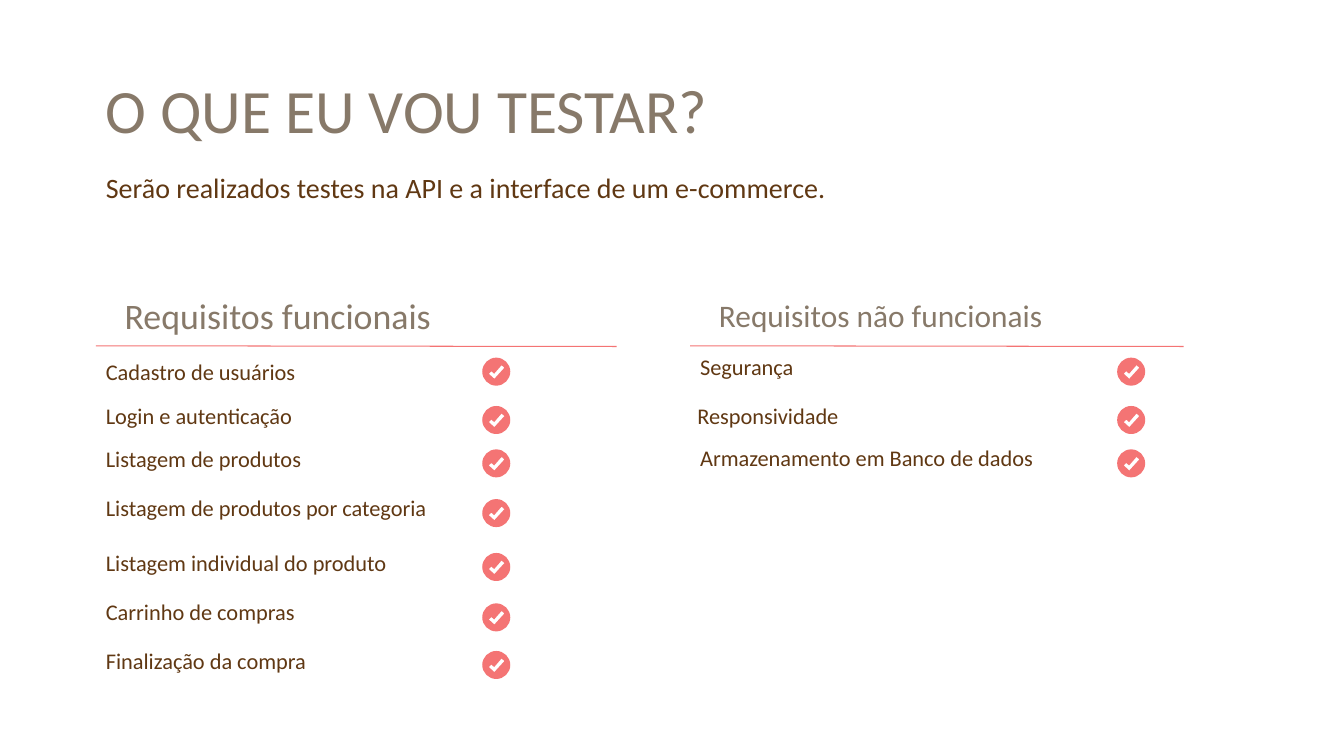
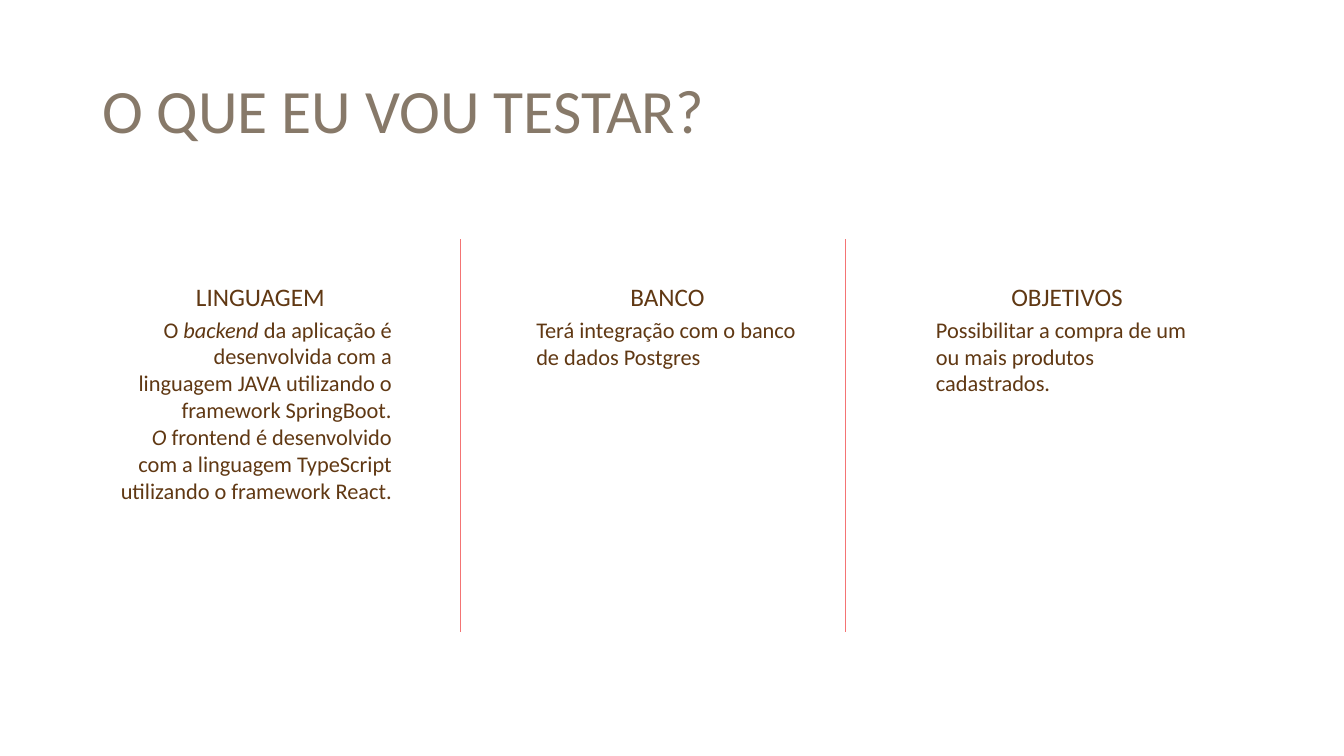
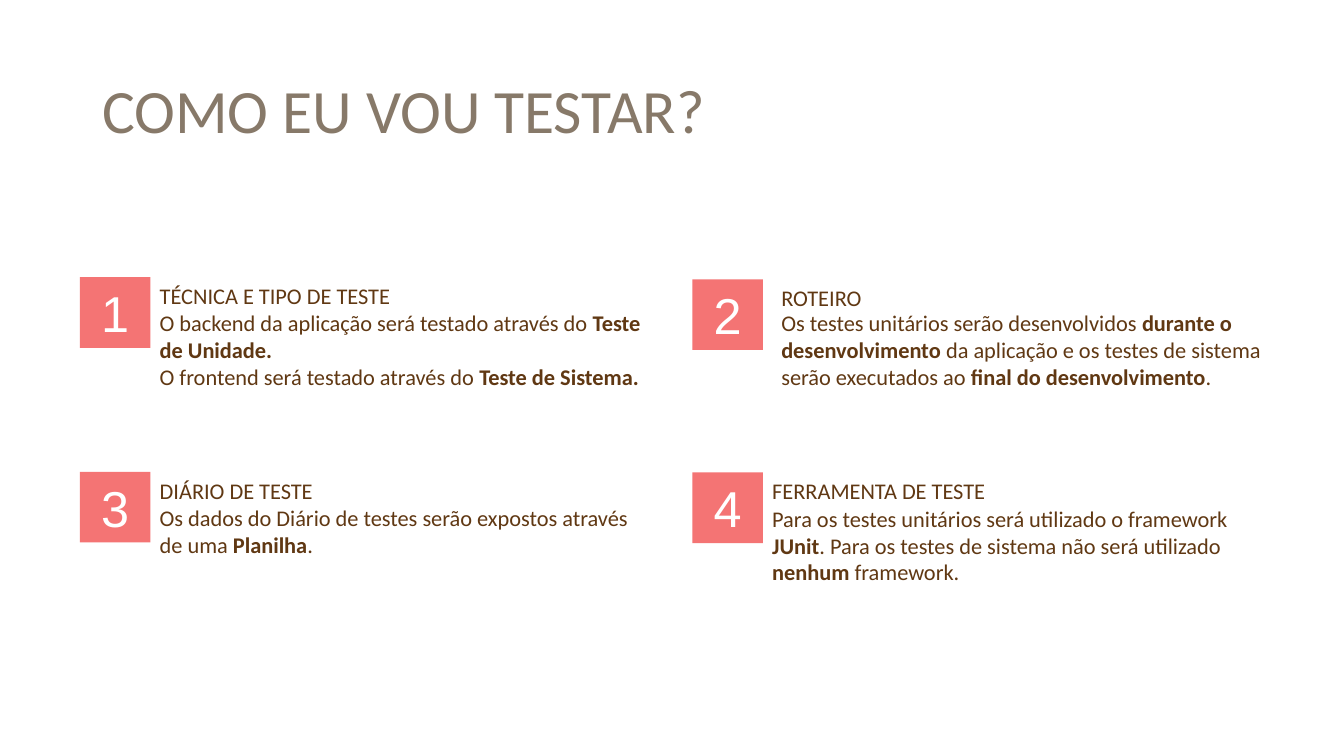
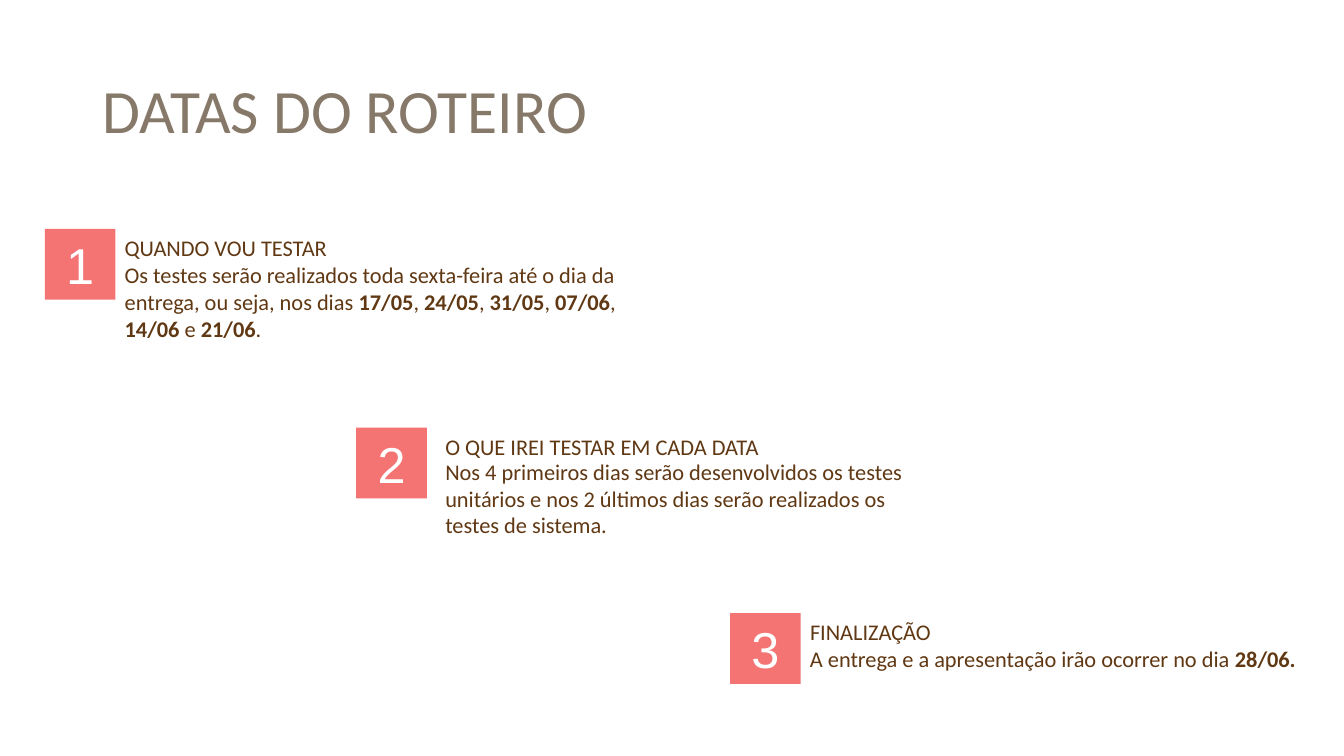
import pptx
import pptx.dml.color
import pptx.enum.shapes
import pptx.enum.text
import pptx.oxml
import pptx.util

PX = 6350  # EMU in one px, on a slide of 1920 by 1080 px
TAUPE, BROWN, CORAL, WHITE = "877969", "603813", "F47474", "FFFFFF"
FONT, NUMBER_FONT = "Calibri", "Arial"
LINE_HEIGHT, PADDING = 39, 14
BADGE_SIZE = 101
TIGHT, LOOSE = (-1, 39), (12, 36)  # gap from badge to text, drop from heading to body

# Disc and tick, in tenths of a px
RADIUS = 200
DISC = [(200, 0), (400, 200), (200, 400), (0, 200), (200, 0)]
TICK = [(173, 302), (94, 230), (130, 194), (170, 230), (276, 108), (317, 144)]
ROUNDNESS = 0.55  # share of the way from an end of a quarter circle to its corner

ALIGN = pptx.enum.text.PP_ALIGN
ANCHOR = pptx.enum.text.MSO_ANCHOR

FUNCTIONAL = [  # text, shift to the right, top of text, top of check
    ("Cadastro de usuários", 0, 505, 511),
    ("Login e autenticação", 0, 567, 580),
    ("Listagem de produtos", 0, 629, 642),
    ("Listagem de produtos por categoria", 0, 699, 713),
    ("Listagem individual do produto", 0, 778, 790),
    ("Carrinho de compras", 0, 848, 862),
    ("Finalização da compra", 0, 917, 930),
]
NON_FUNCTIONAL = [
    ("Segurança", 0, 498, 511),
    ("Responsividade", -4, 567, 580),
    ("Armazenamento em Banco de dados", 0, 628, 642),
]
COLUMNS = [  # heading, left and width of heading, left of body, lines, alignment, body
    ("LINGUAGEM", 158, 428, 158, 7, ALIGN.RIGHT, [
        "O *backend *da aplicação é desenvolvida com a linguagem JAVA "
        "utilizando o framework SpringBoot.",
        "*O *frontend é desenvolvido com a linguagem TypeScript "
        "utilizando o framework React."]),
    ("BANCO", 738, 431, 752, 2, ALIGN.LEFT,
     ["Terá integração com o banco de dados Postgres"]),
    ("OBJETIVOS", 1309, 431, 1323, 3, ALIGN.LEFT,
     ["Possibilitar a compra de um ou mais produtos cadastrados."]),
]
METHODS = [  # left, top, offsets of text, heading, its width, lines, body
    (114, 396, TIGHT, "TÉCNICA E TIPO DE TESTE", 495, 3, [
        "O backend da aplicação será testado através do *Teste de Unidade.*",
        "O frontend será testado através do *Teste de Sistema.*"]),
    (989, 399, LOOSE, "ROTEIRO", 230, 3, [
        "Os testes unitários serão desenvolvidos *durante o desenvolvimento* da "
        "aplicação e os testes de sistema serão executados ao "
        "*final do desenvolvimento*."]),
    (114, 674, TIGHT, "DIÁRIO DE TESTE", 379, 2, [
        "Os dados do Diário de testes serão expostos através de uma *Planilha*."]),
    (989, 675, TIGHT, "FERRAMENTA DE TESTE", 395, 3, [
        "Para os testes unitários será utilizado o framework *JUnit*. Para os "
        "testes de sistema não será utilizado *nenhum *framework."]),
]
DATES = [
    (64, 327, TIGHT, "QUANDO VOU TESTAR", 495, 4, [
        "Os testes serão realizados toda sexta-feira até o dia da entrega, ou seja, "
        "nos dias *17/05*, *24/05*, *31/05*, *07/06*, *14/06* e *21/06*."]),
    (509, 611, LOOSE, "O QUE IREI TESTAR EM CADA DATA", 562, 3, [
        "Nos 4 primeiros dias serão desenvolvidos os testes unitários e nos 2 "
        "últimos dias serão realizados os testes de sistema."]),
    (1043, 876, TIGHT, "FINALIZAÇÃO", 379, 1, [
        "A entrega e a apresentação irão ocorrer no dia *28/06.*"]),
]


def px(*lengths):
    return [pptx.util.Emu(length * PX) for length in lengths]


def rgb(color):
    return pptx.dml.color.RGBColor.from_string(color)


def style(font, size, color, name=FONT):
    font.size = pptx.util.Pt(size)
    font.name = name
    font.color.rgb = rgb(color)


def add_text(slide, box, paragraphs, size=16, color=BROWN, align=ALIGN.LEFT,
             anchor=ANCHOR.TOP, spacing=None, emphasis="bold"):
    """Add a text box; stretches between asterisks get the emphasis."""
    text_frame = slide.shapes.add_textbox(*px(*box)).text_frame
    text_frame.word_wrap = True
    text_frame.vertical_anchor = anchor
    for index, text in enumerate(paragraphs):
        paragraph = text_frame.add_paragraph() if index else text_frame.paragraphs[0]
        paragraph.alignment = align
        if spacing:
            paragraph.line_spacing = spacing
        for position, part in enumerate(text.split("*")):
            if part:
                run = paragraph.add_run()
                run.text = part
                style(run.font, size, color)
                if position % 2:
                    setattr(run.font, emphasis, True)


def add_heading(slide, box, text, size):
    add_text(slide, box, [text], size, TAUPE, anchor=ANCHOR.MIDDLE, spacing=0.9)


def add_line(slide, *ends):
    line = slide.shapes.add_connector(
        pptx.enum.shapes.MSO_CONNECTOR.STRAIGHT, *px(*ends))
    line.line.color.rgb = rgb(CORAL)
    line.line.width = pptx.util.Pt(0.75)
    properties = line._element.spPr
    properties.append(properties.makeelement(pptx.oxml.ns.qn("a:effectLst"), {}))


def paint(shape):
    shape.shadow.inherit = False
    shape.fill.solid()
    shape.fill.fore_color.rgb = rgb(CORAL)
    shape.line.fill.background()


def round_off(segment, start, end):
    """Turn a straight segment of the disc into a quarter circle."""
    corner = [a + b - RADIUS for a, b in zip(start, end)]
    controls = [[round(a + ROUNDNESS * (c - a)) for a, c in zip(point, corner)]
                for point in (start, end)]
    curve = segment.makeelement(pptx.oxml.ns.qn("a:cubicBezTo"), {})
    for x, y in (*controls, end):
        curve.append(curve.makeelement(pptx.oxml.ns.qn("a:pt"),
                                       {"x": str(x), "y": str(y)}))
    segment.getparent().replace(segment, curve)


def add_check(slide, left, top):
    """Add a disc with a tick cut out of it."""
    builder = slide.shapes.build_freeform(*DISC[0], scale=PX / 10)
    builder.add_line_segments(DISC[1:], close=True)
    builder.move_to(*TICK[0])
    builder.add_line_segments(TICK[1:], close=True)
    check = builder.convert_to_shape(*px(left, top))
    segments = list(check._element.iter(pptx.oxml.ns.qn("a:lnTo")))
    for segment, start, end in zip(segments, DISC, DISC[1:]):
        round_off(segment, start, end)
    paint(check)


def add_requirements(slide, left, right, check_left, heading, size, rows):
    add_heading(slide, (left + 27, 413, 492, 81), heading, size)
    add_line(slide, left, 494, right, 495)
    for text, shift, text_top, check_top in rows:
        add_text(slide, (left + shift, text_top, 557, LINE_HEIGHT + PADDING), [text])
        add_check(slide, check_left, check_top)


def add_column(slide, heading, left, width, body_left, lines, align, body):
    add_text(slide, (left, 395, width, 58), [heading], 18, align=ALIGN.CENTER)
    add_text(slide, (body_left, 444, 416, lines * LINE_HEIGHT + PADDING), body,
             align=align, emphasis="italic")


def add_numbered_item(slide, number, left, top, offsets, heading, width, lines, body):
    gap, drop = offsets
    text_left = left + BADGE_SIZE + gap
    add_text(slide, (text_left, top, width, LINE_HEIGHT + PADDING), [heading])
    add_text(slide, (text_left, top + drop, 736, lines * LINE_HEIGHT + PADDING), body)
    badge = slide.shapes.add_shape(pptx.enum.shapes.MSO_SHAPE.RECTANGLE,
                                   *px(left, top, BADGE_SIZE, BADGE_SIZE))
    paint(badge)
    badge.text_frame.text = str(number)
    paragraph = badge.text_frame.paragraphs[0]
    paragraph.alignment = ALIGN.CENTER
    style(paragraph.runs[0].font, 36, WHITE, NUMBER_FONT)


def add_slide(presentation, title, left=132):
    slide = presentation.slides.add_slide(presentation.slide_layouts[6])
    add_heading(slide, (left, 58, 1656, 209), title, 44)
    return slide


def build_requirements(presentation):
    slide = add_slide(presentation, "O QUE EU VOU TESTAR?", left=137)
    add_text(slide, (137, 236, 1676, 62),
             ["Serão realizados testes na API e a interface de um e-commerce."], 20)
    add_requirements(slide, 137, 881, 689, "Requisitos funcionais", 25.6, FUNCTIONAL)
    add_requirements(slide, 986, 1691, 1596, "Requisitos não funcionais", 22.4,
                     NON_FUNCTIONAL)


def build_columns(presentation):
    slide = add_slide(presentation, "O QUE EU VOU TESTAR?")
    for column in COLUMNS:
        add_column(slide, *column)
    for divider in (658, 1208):
        add_line(slide, divider, 342, divider, 903)


def build_numbered(presentation, title, items):
    slide = add_slide(presentation, title)
    for number, item in enumerate(items, start=1):
        add_numbered_item(slide, number, *item)


def main():
    presentation = pptx.Presentation()
    presentation.slide_width, presentation.slide_height = px(1920, 1080)
    build_requirements(presentation)
    build_columns(presentation)
    build_numbered(presentation, "COMO EU VOU TESTAR?", METHODS)
    build_numbered(presentation, "DATAS DO ROTEIRO", DATES)
    presentation.save("out.pptx")


if __name__ == "__main__":
    main()
